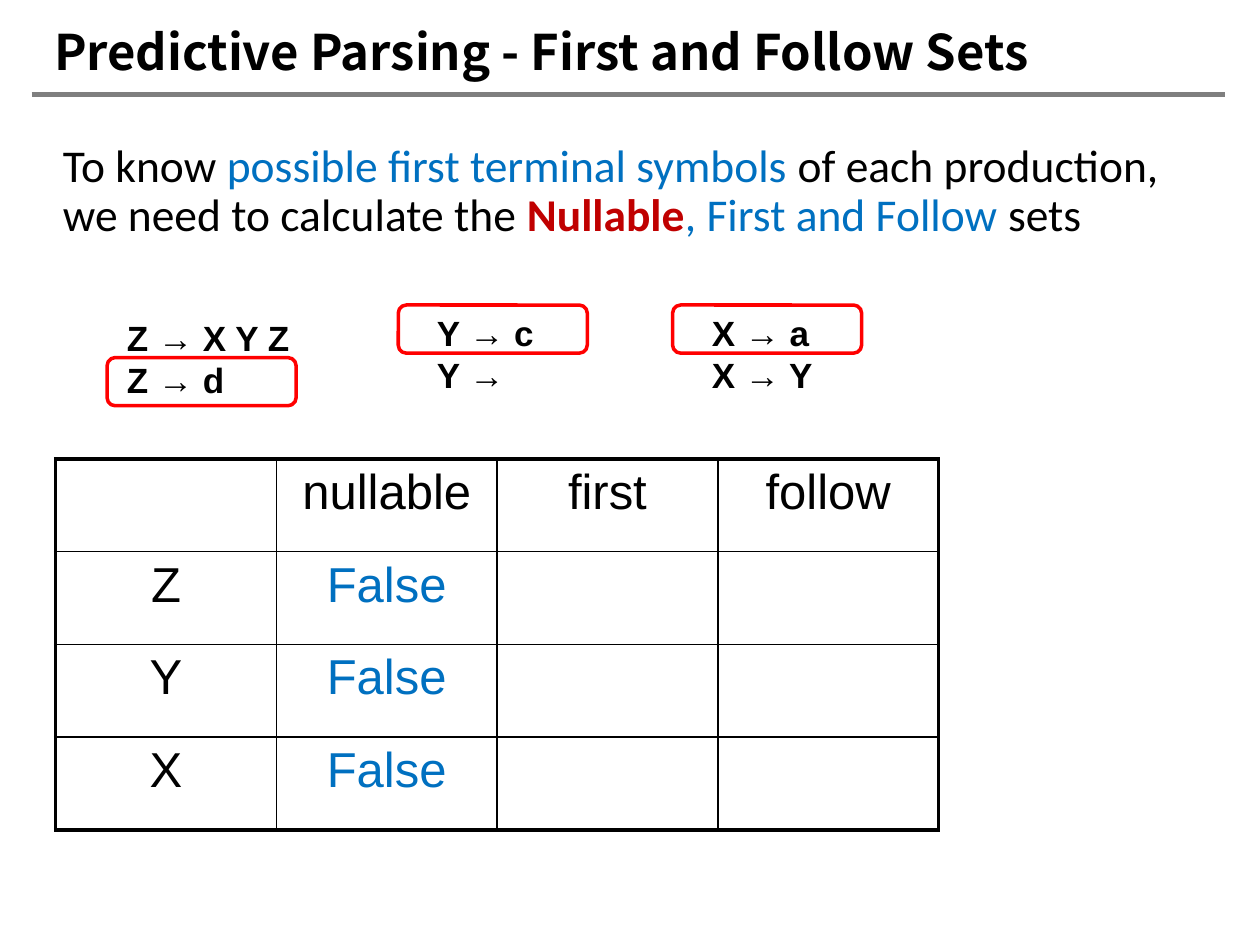
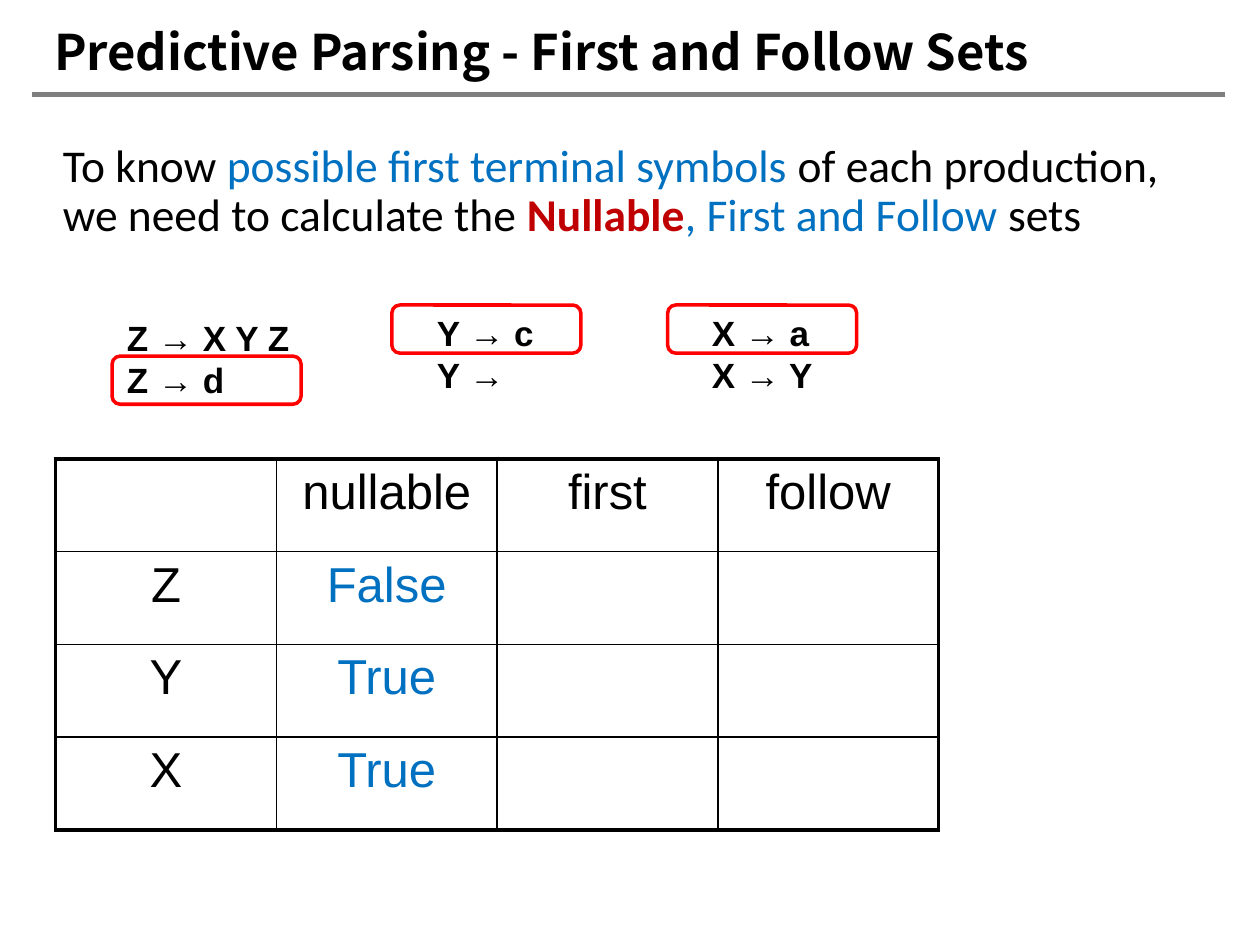
from dataclasses import dataclass

from lxml import etree
from pptx import Presentation
from pptx.dml.color import RGBColor
from pptx.enum.shapes import MSO_CONNECTOR, MSO_SHAPE
from pptx.enum.text import MSO_ANCHOR, MSO_AUTO_SIZE, PP_ALIGN
from pptx.oxml import parse_xml
from pptx.oxml.ns import nsdecls, qn
from pptx.util import Cm, Pt

COLORS = {
    "text": "000000",
    "rule": "7F7F7F",
    "blue": "0070C0",
    "strong": "C00000",
    "marker": "FF0000",
}

TITLE = "Predictive Parsing - First and Follow Sets"
TITLE_FONT = {"name": "Noto Sans CJK SC", "size": Pt(28), "bold": True}
INTRO_FONT = {"name": "Calibri", "size": Pt(26)}
GRAMMAR_FONT = {"name": "Arial", "size": Pt(20), "bold": True}
TABLE_FONT = {"name": "Arial", "size": Pt(28)}

INTRO = [
    ("To know ", "text", False),
    ("possible first terminal symbols ", "blue", False),
    ("of each production, we need to calculate the ", "text", False),
    ("Nullable", "strong", True),
    (", First and Follow ", "blue", False),
    ("sets", "text", False),
]
NO_INSETS = dict.fromkeys(
    ("margin_left", "margin_top", "margin_right", "margin_bottom"), 0)
HEADERS = ["", "nullable", "first", "follow"]
SYMBOLS = ["Z", "Y", "X"]
COL_WIDTH, ROW_HEIGHT = Cm(4.45), Cm(1.87)
THIN, THICK = Pt(1), Pt(2.25)


@dataclass(frozen=True)
class Box:
    left: float
    top: float
    width: float
    height: float

    def emu(self) -> tuple:
        return tuple(Cm(v) for v in (self.left, self.top, self.width, self.height))


@dataclass(frozen=True)
class Grammar:
    box: Box
    productions: tuple


@dataclass(frozen=True)
class Step:
    nullable: tuple
    marks: tuple  # left and top of each marked production


GRAMMARS = [
    Grammar(Box(2.31, 6.25, 3.81, 1.96), ("Z → X Y Z", "Z → d")),
    Grammar(Box(8.56, 6.15, 2.46, 1.96), ("Y → c", "Y →")),
    Grammar(Box(14.1, 6.15, 2.72, 1.96), ("X → a", "X → Y")),
]
STEPS = [
    Step(("False", "False", "False"), ((8.03, 6.15), (13.56, 6.15), (2.16, 7.21))),
    Step(("False", "True", "True"), ((2.26, 7.18), (7.9, 6.15), (13.46, 6.15))),
]


def rgb(color: str) -> RGBColor:
    return RGBColor.from_string(COLORS[color])


def set_all(target, values: dict) -> None:
    for name, value in values.items():
        setattr(target, name, value)


def add_run(p, text: str, font: dict, color: str = "text") -> None:
    r = p.add_run()
    r.text = text
    set_all(r.font, font)
    r.font.color.rgb = rgb(color)


def add_title(s) -> None:
    """Fill the title placeholder and rule it off below."""
    sp = s.shapes.title
    left, top, width, height = Box(1.09, 0.43, 21.39, 1.19).emu()
    set_all(sp, {"left": left, "top": top, "width": width, "height": height})
    tf = sp.text_frame
    set_all(tf, {**NO_INSETS, "auto_size": MSO_AUTO_SIZE.NONE,
                 "vertical_anchor": MSO_ANCHOR.MIDDLE})
    p = tf.paragraphs[0]
    p.alignment = PP_ALIGN.LEFT
    add_run(p, TITLE, TITLE_FONT)

    rule = s.shapes.add_connector(
        MSO_CONNECTOR.STRAIGHT, Cm(0.64), Cm(1.91), Cm(24.69), Cm(1.91))
    rule.line.color.rgb = rgb("rule")
    rule.line.width = Pt(3)
    etree.SubElement(rule._element.spPr, qn("a:effectLst"))


def add_intro(s) -> None:
    tf = s.shapes.add_textbox(*Box(1.02, 2.77, 23.47, 14.38).emu()).text_frame
    tf.word_wrap = True
    p = tf.paragraphs[0]
    p.line_spacing = 0.9
    for text, color, bold in INTRO:
        add_run(p, text, {**INTRO_FONT, "bold": bold}, color)


def add_grammar(s, grammar: Grammar) -> None:
    tf = s.shapes.add_textbox(*grammar.box.emu()).text_frame
    set_all(tf, {"word_wrap": False, "auto_size": MSO_AUTO_SIZE.SHAPE_TO_FIT_TEXT})
    for i, production in enumerate(grammar.productions):
        p = tf.add_paragraph() if i else tf.paragraphs[0]
        add_run(p, production, GRAMMAR_FONT)


def set_borders(cell, widths: dict) -> None:
    tcPr = cell._tc.get_or_add_tcPr()
    for side, width in widths.items():
        tcPr.append(parse_xml(
            f'<a:ln{side} {nsdecls("a")} w="{width}"><a:solidFill>'
            f'<a:srgbClr val="{COLORS["text"]}"/></a:solidFill></a:ln{side}>'))


def add_sets_table(s, nullable: tuple) -> None:
    rows = [HEADERS] + [[sym, value, "", ""] for sym, value in zip(SYMBOLS, nullable)]
    n_rows, n_cols = len(rows), len(HEADERS)
    table = s.shapes.add_table(n_rows, n_cols, Cm(1.12), Cm(9.25),
                               COL_WIDTH * n_cols, ROW_HEIGHT * n_rows).table
    set_all(table, {"first_row": False, "horz_banding": False})
    for i, row in enumerate(rows):
        for j, text in enumerate(row):
            cell = table.cell(i, j)
            outer = {"L": j == 0, "R": j == n_cols - 1,
                     "T": i == 0, "B": i == n_rows - 1}
            set_borders(cell, {side: THICK if edge else THIN
                               for side, edge in outer.items()})
            cell.fill.background()
            if text:
                p = cell.text_frame.paragraphs[0]
                p.alignment = PP_ALIGN.CENTER
                add_run(p, text, TABLE_FONT, "blue" if i and j else "text")


def add_mark(s, left: float, top: float) -> None:
    """Frame one production."""
    sp = s.shapes.add_shape(MSO_SHAPE.ROUNDED_RECTANGLE,
                            *Box(left, top, 3.81, 0.97).emu())
    sp.shadow.inherit = False
    sp.fill.background()
    sp.line.color.rgb = rgb("marker")
    sp.line.width = Pt(2)


def main() -> None:
    prs = Presentation()
    set_all(prs, {"slide_width": Cm(25.4), "slide_height": Cm(19.05)})
    title_only = prs.slide_layouts.get_by_name("Title Only")
    for step in STEPS:
        s = prs.slides.add_slide(title_only)
        add_title(s)
        add_intro(s)
        for grammar in GRAMMARS:
            add_grammar(s, grammar)
        add_sets_table(s, step.nullable)
        for left, top in step.marks:
            add_mark(s, left, top)
    prs.save("out.pptx")


if __name__ == "__main__":
    main()
